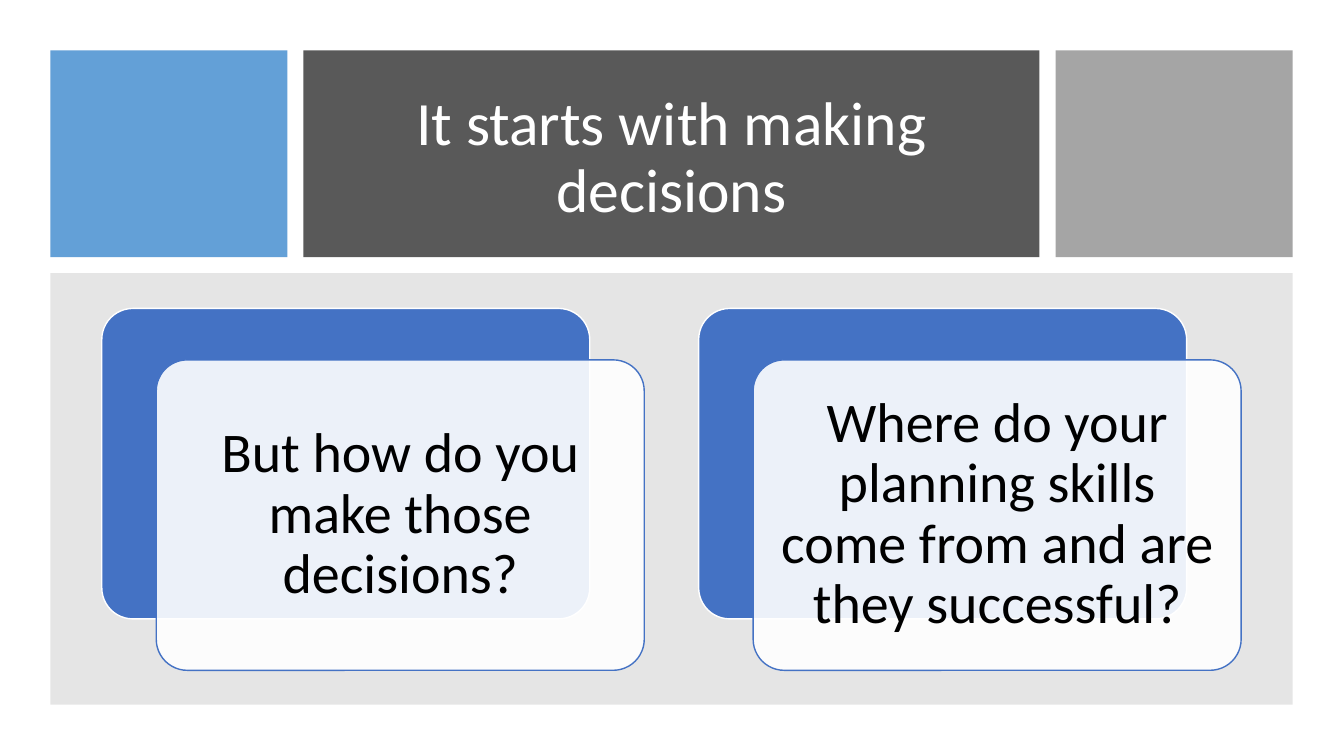
from lxml import etree
from pptx import Presentation
from pptx import util as u
from pptx.dml.color import RGBColor
from pptx.enum import shapes, text
from pptx.oxml.ns import qn

COLOURS = {
    "sky": "5B9BD5", "charcoal": "595959", "silver": "A5A5A5",
    "grey": "808080", "blue": "4472C4", "white": "FFFFFF", "black": "000000",
}
FRAME = {
    "word_wrap": True,
    "auto_size": text.MSO_AUTO_SIZE.NONE,
    "vertical_anchor": text.MSO_ANCHOR.MIDDLE,
}
PARAGRAPH = {"alignment": text.PP_ALIGN.CENTER, "line_spacing": 0.9}


def set_all(target, values):
    for name, value in values.items():
        setattr(target, name, value)


class DecisionSlide:
    def __init__(self, slide, font="Calibri"):
        self.slide = slide
        self.font = font

    def colour(self, name):
        return RGBColor.from_string(COLOURS[name])

    def fill_text(self, frame, wording, size, colour, **margins):
        set_all(frame, {**FRAME, **margins})
        paragraph = frame.paragraphs[0]
        paragraph.text = wording
        set_all(paragraph, PARAGRAPH)
        set_all(paragraph.font, {"name": self.font, "size": u.Pt(size)})
        paragraph.font.color.rgb = self.colour(colour)

    def panel(self, box, fill, opacity=100, outline=None,
              kind=shapes.MSO_SHAPE.RECTANGLE):
        """Add a filled preset shape; box is left, top, width, height in inches."""
        panel = self.slide.shapes.add_shape(kind, *map(u.Inches, box))
        panel.shadow.inherit = False
        panel.fill.solid()
        panel.fill.fore_color.rgb = self.colour(fill)
        if opacity < 100:
            tint = panel._element.spPr.find(qn("a:solidFill")).find(qn("a:srgbClr"))
            etree.SubElement(tint, qn("a:alpha"), val=str(opacity * 1000))
        if outline:
            panel.line.color.rgb = self.colour(outline)
            panel.line.width = u.Pt(1)
        else:
            panel.line.fill.background()
        return panel

    def title(self, box, wording):
        heading = self.slide.shapes.title
        set_all(heading, dict(zip(("left", "top", "width", "height"),
                                  map(u.Inches, box))))
        self.fill_text(heading.text_frame, wording, 44, "white")
        # Bring the heading in front of the panels.
        self.slide.shapes._spTree.append(heading._element)

    def question(self, left, top, wording):
        """Add a blue card with a translucent card offset in front of it."""
        size = (4.84, 3.08)
        rounded = shapes.MSO_SHAPE.ROUNDED_RECTANGLE
        back = self.panel((left, top, *size), "blue", outline="white", kind=rounded)
        front = self.panel((left + 0.54, top + 0.51, *size), "white", 90,
                           "blue", rounded)
        for card in (back, front):
            card.adjustments[0] = 0.1
        sides = ("left", "top", "right", "bottom")
        self.fill_text(front.text_frame, wording, 40, "black",
                       **{f"margin_{side}": u.Inches(0.17) for side in sides})


def main():
    deck = Presentation()
    set_all(deck, {"slide_width": u.Inches(13.33), "slide_height": u.Inches(7.5)})
    page = DecisionSlide(deck.slides.add_slide(deck.slide_layouts[5]))

    header_top, header_height = 0.5, 2.05
    for left, width, fill, opacity in (
        (0.5, 2.35, "sky", 95),
        (3.01, 7.3, "charcoal", 100),
        (10.47, 2.35, "silver", 100),
    ):
        page.panel((left, header_top, width, header_height), fill, opacity)
    page.title((3.33, 0.8, 6.66, 1.56), "It starts with making decisions")

    page.panel((0.5, 2.71, 12.32, 4.28), "grey", 20)
    questions = (
        "But how do you make those decisions?",
        "Where do your planning skills come from and are they successful?",
    )
    for index, wording in enumerate(questions):
        page.question(1.01 + index * 5.92, 3.06, wording)

    deck.save("out.pptx")


if __name__ == "__main__":
    main()
